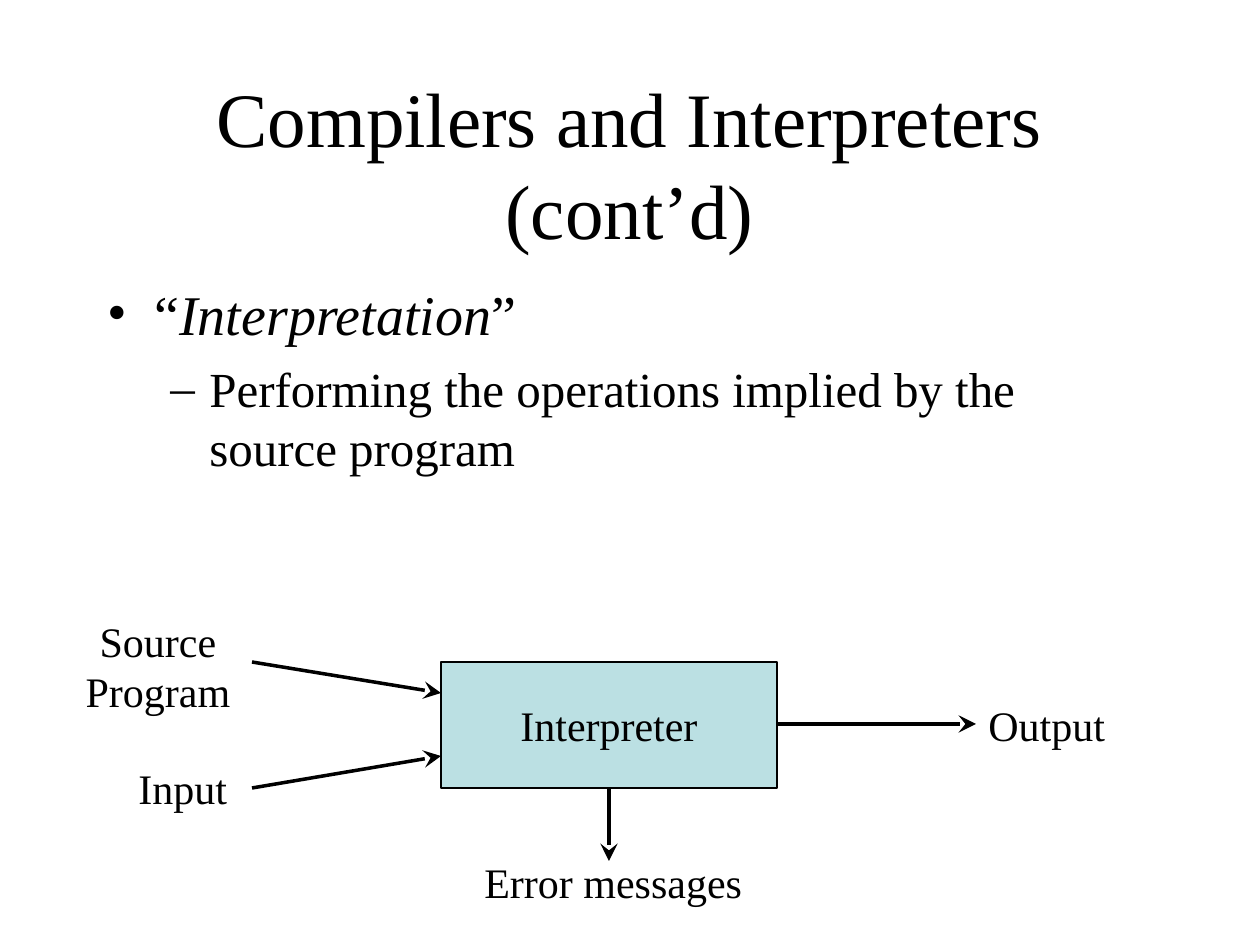
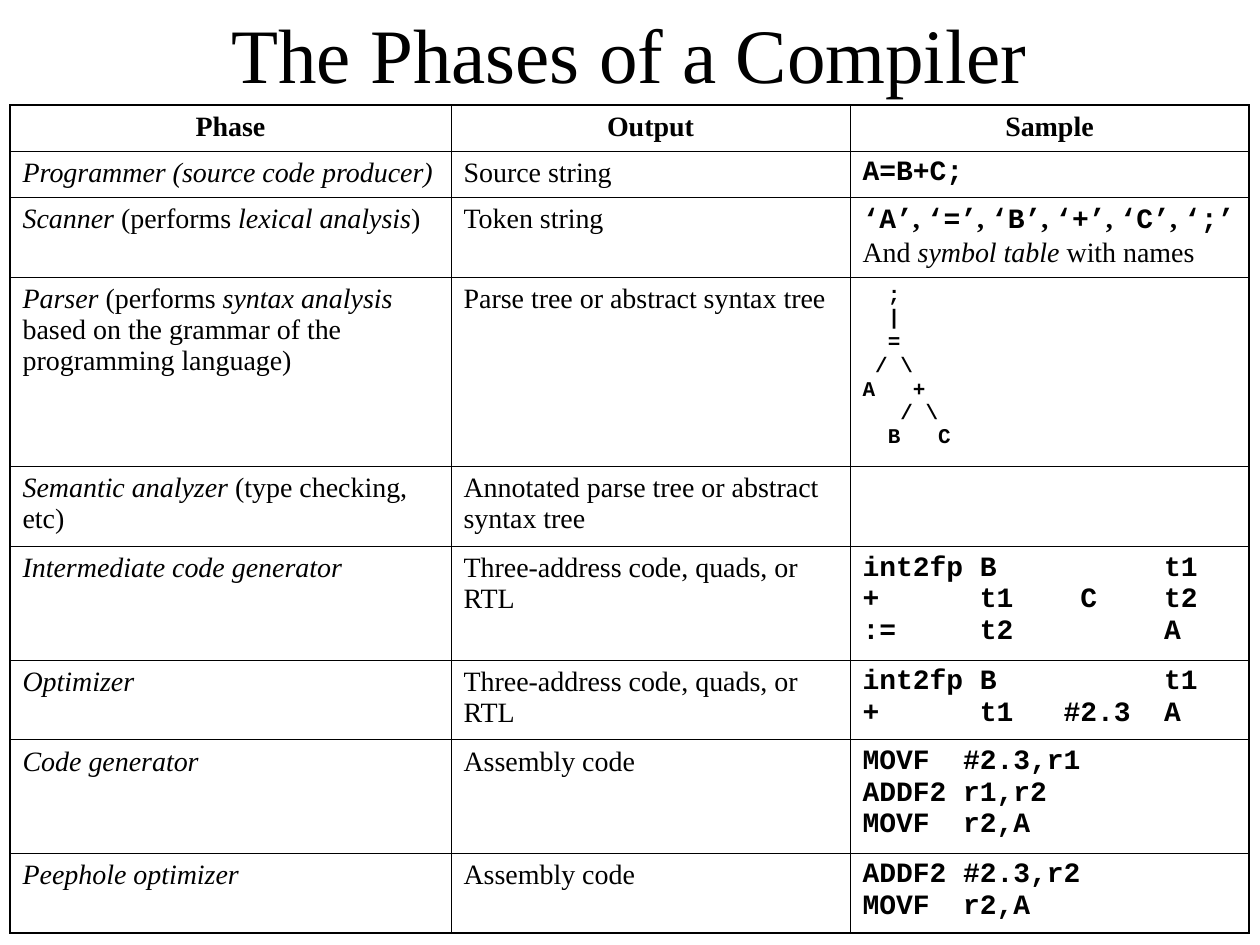
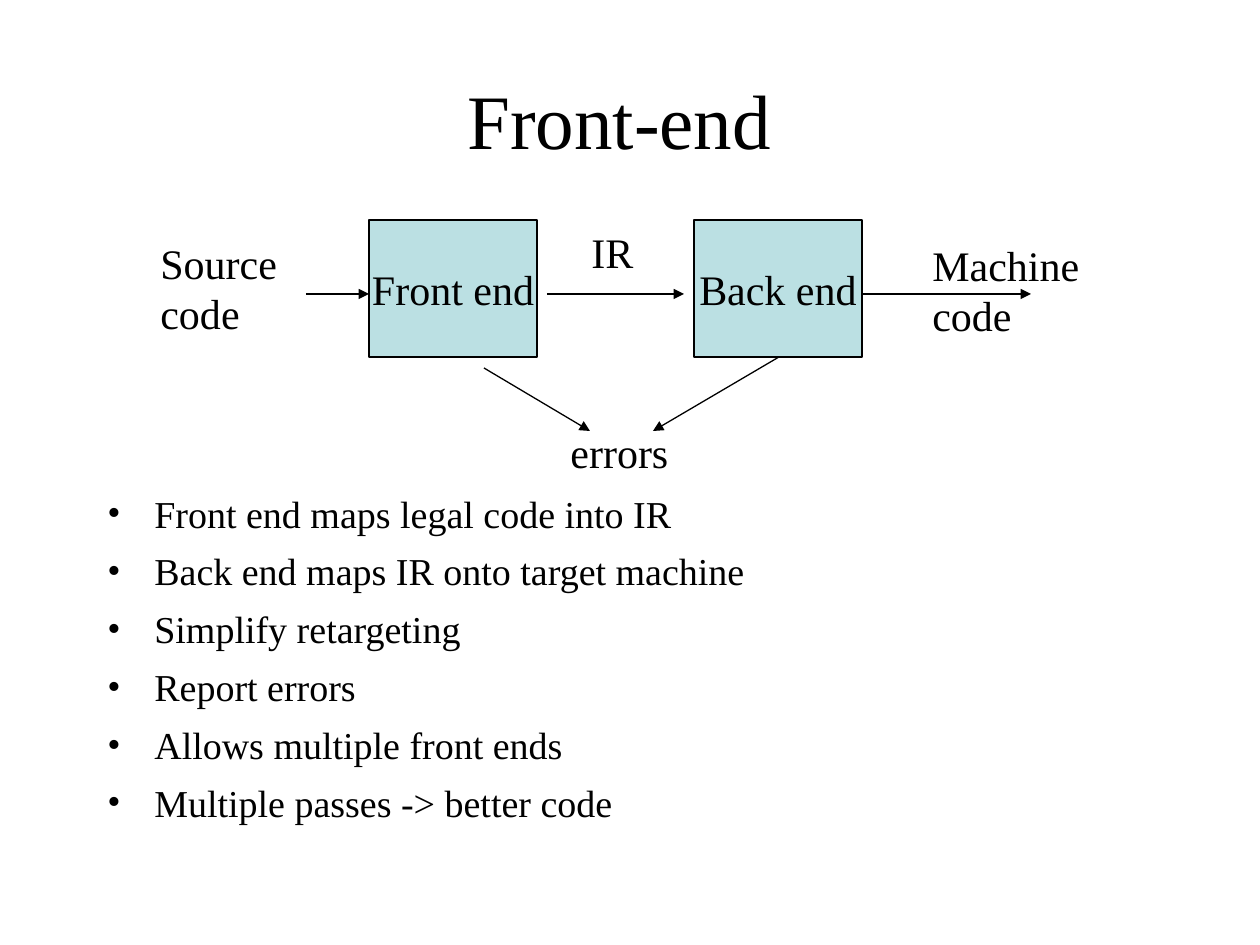
from copy import deepcopy
from dataclasses import dataclass
from typing import NamedTuple

from lxml.etree import SubElement
from pptx import Presentation
from pptx.dml.color import RGBColor
from pptx.enum.shapes import MSO_CONNECTOR as Link, MSO_SHAPE as Shape
from pptx.enum.text import MSO_ANCHOR as Anchor, MSO_AUTO_SIZE as Auto, PP_ALIGN as Align
from pptx.oxml.ns import qn
from pptx.slide import Slide
from pptx.text.text import TextFrame
from pptx.util import Emu, Pt

# Shared scale, colours and text formats
SCALE = 914400 / 126
COLORS = {"ink": "000000", "box": "BBE0E3"}
SERIF, MONO = "Times New Roman", "Courier New"
FORMATS = {
    "plain": {"name": SERIF},
    "italic": {"name": SERIF, "italic": True},
    "bold": {"name": SERIF, "bold": True},
    "code": {"name": MONO, "bold": True},
}
THIN, LINE, THICK = 0.45, 0.74, 1.08


class Run(NamedTuple):
    text: str
    style: str = "plain"


class Rect(NamedTuple):
    left: int
    top: int
    width: int
    height: int


@dataclass
class Para:
    runs: list[Run]
    size: float = 24
    align: Align = Align.LEFT
    before: float = 0
    bullet: str = ""
    margin: int = 0
    hang: int = 0


@dataclass
class Label:
    rect: Rect
    lines: list[str]
    align: Align = Align.LEFT


@dataclass
class Arrow:
    start: tuple[int, int]
    end: tuple[int, int]
    head: str = "triangle"
    size: str = "med"
    weight: float = LINE


def px(count: float) -> Emu:
    return Emu(round(count * SCALE))


def spot(rect: Rect) -> list[Emu]:
    return [px(side) for side in rect]


def paint(key: str) -> RGBColor:
    return RGBColor.from_string(COLORS[key])


# Text
def write(frame: TextFrame, paras: list[Para]) -> None:
    for index, para in enumerate(paras):
        line = frame.add_paragraph() if index else frame.paragraphs[0]
        line.alignment = para.align
        line.space_before = Pt(para.before)
        if para.bullet:
            props = line._p.get_or_add_pPr()
            props.set("marL", str(px(para.margin)))
            props.set("indent", str(-px(para.hang)))
            SubElement(props, qn("a:buFont"), typeface=SERIF)
            SubElement(props, qn("a:buChar"), char=para.bullet)
        for text, style in para.runs:
            for row, part in enumerate(text.split("\n")):
                if row:
                    line.add_line_break()
                    line._p[-1].append(deepcopy(run._r.rPr))
                run = line.add_run()
                run.text = part
                run.font.size = Pt(para.size)
                run.font.color.rgb = paint("ink")
                for name, value in FORMATS[style].items():
                    setattr(run.font, name, value)


def add_text(slide: Slide, rect: Rect, paras: list[Para], wrap: bool = True) -> TextFrame:
    frame = slide.shapes.add_textbox(*spot(rect)).text_frame
    frame.word_wrap = wrap
    write(frame, paras)
    return frame


def add_title(slide: Slide, rect: Rect, text: str) -> None:
    frame = add_text(slide, rect, [Para([Run(text)], 44, Align.CENTER)])
    frame.vertical_anchor = Anchor.MIDDLE


def add_label(slide: Slide, label: Label) -> None:
    paras = [Para([Run(text)], align=label.align) for text in label.lines]
    frame = add_text(slide, label.rect, paras, wrap=False)
    frame.auto_size = Auto.SHAPE_TO_FIT_TEXT


# Diagram parts
def add_box(slide: Slide, rect: Rect, text: str) -> None:
    box = slide.shapes.add_shape(Shape.RECTANGLE, *spot(rect))
    box.shadow.inherit = False
    box.fill.solid()
    box.fill.fore_color.rgb = paint("box")
    box.line.color.rgb = paint("ink")
    box.line.width = Pt(LINE)
    frame = box.text_frame
    frame.word_wrap = False
    frame.vertical_anchor = Anchor.MIDDLE
    write(frame, [Para([Run(text)], align=Align.CENTER)])


def add_arrow(slide: Slide, arrow: Arrow) -> None:
    ends = [px(value) for value in arrow.start + arrow.end]
    link = slide.shapes.add_connector(Link.STRAIGHT, *ends)
    link.line.color.rgb = paint("ink")
    link.line.width = Pt(arrow.weight)
    SubElement(link.line._get_or_add_ln(), qn("a:tailEnd"),
               type=arrow.head, w=arrow.size, len=arrow.size)
    SubElement(link._element.spPr, qn("a:effectLst"))


# Table
def add_edges(cell, widths: dict[str, float]) -> None:
    props = cell._tc.get_or_add_tcPr()
    for side, width in widths.items():
        edge = SubElement(props, qn(f"a:ln{side}"), w=str(Pt(width)))
        fill = SubElement(edge, qn("a:solidFill"))
        SubElement(fill, qn("a:srgbClr"), val=COLORS["ink"])


def add_grid(slide: Slide, left: int, top: int, cols: list[int], rows: list[int],
             cells: list[list[Para]]) -> None:
    rect = Rect(left, top, sum(cols), sum(rows))
    table = slide.shapes.add_table(len(rows), len(cols), *spot(rect)).table
    table.first_row = table.horz_banding = False
    for col, width in zip(table.columns, cols):
        col.width = px(width)
    for row, height in zip(table.rows, rows):
        row.height = px(height)
    for r, paras in enumerate(cells):
        for c, para in enumerate(paras):
            cell = table.cell(r, c)
            outer = {"L": c == 0, "R": c == len(cols) - 1,
                     "T": r == 0, "B": r == len(rows) - 1}
            add_edges(cell, {side: THICK if out else THIN for side, out in outer.items()})
            cell.fill.background()
            write(cell.text_frame, [para])


deck = Presentation()
deck.slide_width, deck.slide_height = px(1260), px(945)
blank = deck.slide_layouts[6]

# Slide 1: interpreter diagram
slide = deck.slides.add_slide(blank)
add_title(slide, Rect(94, 84, 1071, 158), "Compilers and Interpreters (cont’d)")
add_box(slide, Rect(441, 662, 336, 126), "Interpreter")
for label in [
    Label(Rect(70, 609, 176, 113), ["Source", "Program"], Align.CENTER),
    Label(Rect(126, 756, 120, 63), ["Input"]),
    Label(Rect(976, 693, 148, 63), ["Output"]),
    Label(Rect(472, 850, 290, 63), ["Error messages"]),
]:
    add_label(slide, label)
for start, end in [
    ((252, 662), (441, 693)),
    ((252, 788), (441, 756)),
    ((777, 724), (976, 724)),
    ((609, 788), (609, 861)),
]:
    add_arrow(slide, Arrow(start, end, "stealth", "lg", 2))
add_text(slide, Rect(95, 273, 1071, 567), [
    Para([Run("“"), Run("Interpretation", "italic"), Run("”")], 32,
         before=8, bullet="•", margin=47, hang=47),
    Para([Run("Performing the operations implied by the source program")], 28,
         before=7, bullet="–", margin=102, hang=39),
])

# Slide 2: table of phases
slide = deck.slides.add_slide(blank)
add_title(slide, Rect(94, 0, 1071, 105), "The Phases of a Compiler")
tokens = []
for mark in "A=B+C;":
    tokens += [Run(f"‘{mark}’", "code"), Run(", ", "bold")]
tokens[-1:] = [Run("\nAnd "), Run("symbol table", "italic"), Run(" with names")]
tree = "  ;\n  |\n  =\n / \\\nA   +\n   / \\\n  B   C"
quads = "int2fp B          t1\n+      t1    C    t2\n:=     t2         A"
short = "int2fp B          t1\n+      t1   #2.3  A"
phases = [
    ([Run("Programmer (source code producer)", "italic")],
     "Source string", [Run("A=B+C;", "code")]),
    ([Run("Scanner", "italic"), Run(" (performs "), Run("lexical analysis", "italic"), Run(")")],
     "Token string", tokens),
    ([Run("Parser", "italic"), Run(" (performs"), Run(" syntax analysis", "italic"),
      Run(" based on the grammar of the programming language)")],
     "Parse tree or abstract syntax tree", [Run(tree, "code")]),
    ([Run("Semantic analyzer", "italic"), Run(" (type checking, etc)")],
     "Annotated parse tree or abstract syntax tree", []),
    ([Run("Intermediate code generator", "italic")],
     "Three-address code, quads, or RTL", [Run(quads, "code")]),
    ([Run("Optimizer", "italic")],
     "Three-address code, quads, or RTL", [Run(short, "code")]),
    ([Run("Code generator", "italic")],
     "Assembly code", [Run("MOVF  #2.3,r1\nADDF2 r1,r2\nMOVF  r2,A", "code")]),
    ([Run("Peephole optimizer", "italic")],
     "Assembly code", [Run("ADDF2 #2.3,r2\nMOVF  r2,A", "code")]),
]
cells = [[Para([Run(head, "bold")], 16, Align.CENTER, 4)
          for head in ("Phase", "Output", "Sample")]]
for phase, output, sample in phases:
    cells.append([Para(runs, 16, before=4) for runs in (phase, [Run(output)], sample)])
cells[3][2].size, cells[3][2].before = 12, 3
add_grid(slide, 10, 105, [441, 399, 399],
         [46, 46, 80, 189, 80, 113, 80, 113, 80], cells)

# Slide 3: front end and back end
slide = deck.slides.add_slide(blank)
add_title(slide, Rect(84, 40, 1071, 158), "Front-end")
points = [
    "Front end maps legal code into IR",
    "Back end maps IR onto target machine",
    "Simplify retargeting",
    "Report errors",
    "Allows multiple front ends",
    "Multiple passes -> better code",
]
add_text(slide, Rect(95, 484, 1071, 355), [
    Para([Run(point)], 21.7, before=7, bullet="•", margin=47, hang=47) for point in points
])
for left, text in [(369, "Front end"), (694, "Back end")]:
    add_box(slide, Rect(left, 220, 168, 137), text)
for label in [
    Label(Rect(148, 231, 148, 113), ["Source", "code"]),
    Label(Rect(920, 233, 179, 113), ["Machine", "code"]),
    Label(Rect(558, 420, 130, 63), ["errors"]),
    Label(Rect(579, 220, 74, 63), ["IR"]),
]:
    add_label(slide, label)
for start, end in [
    ((306, 294), (369, 294)),
    ((862, 294), (1031, 294)),
    ((547, 294), (684, 294)),
    ((484, 368), (590, 431)),
    ((779, 357), (653, 431)),
]:
    add_arrow(slide, Arrow(start, end))

deck.save("out.pptx")
